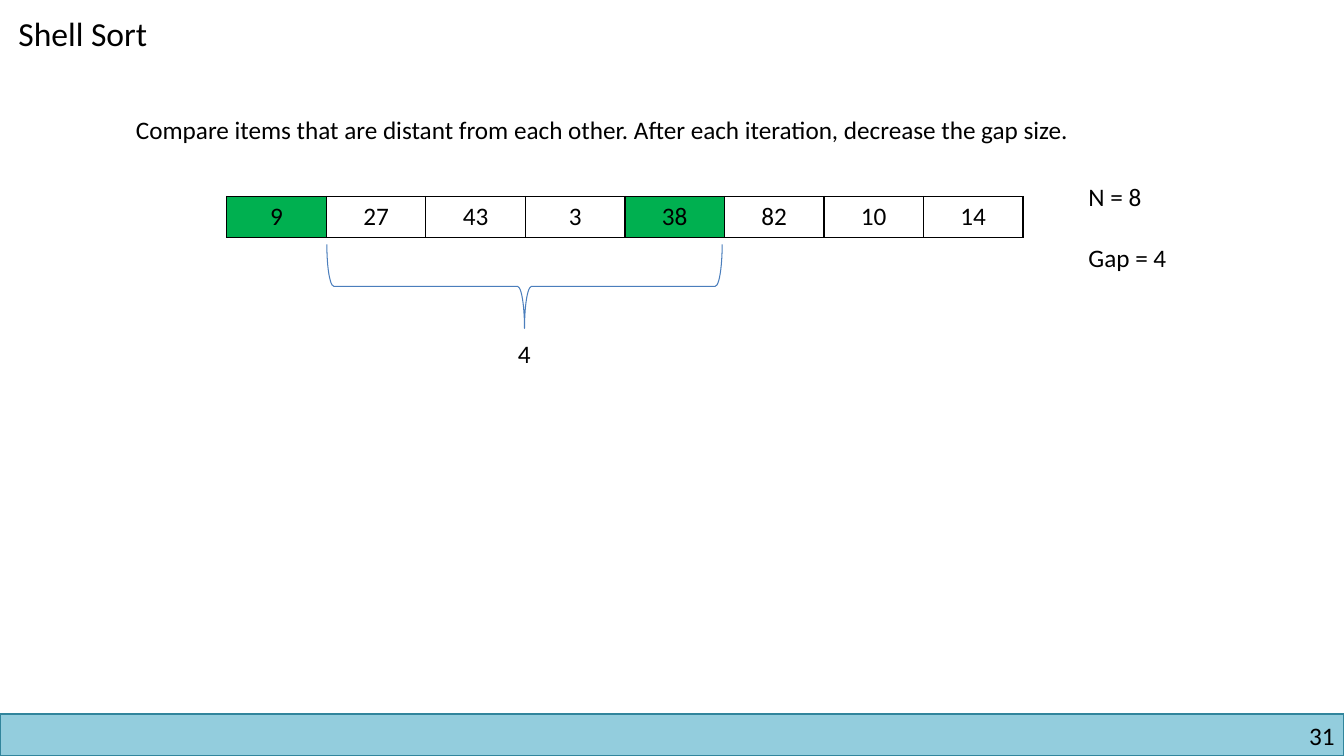
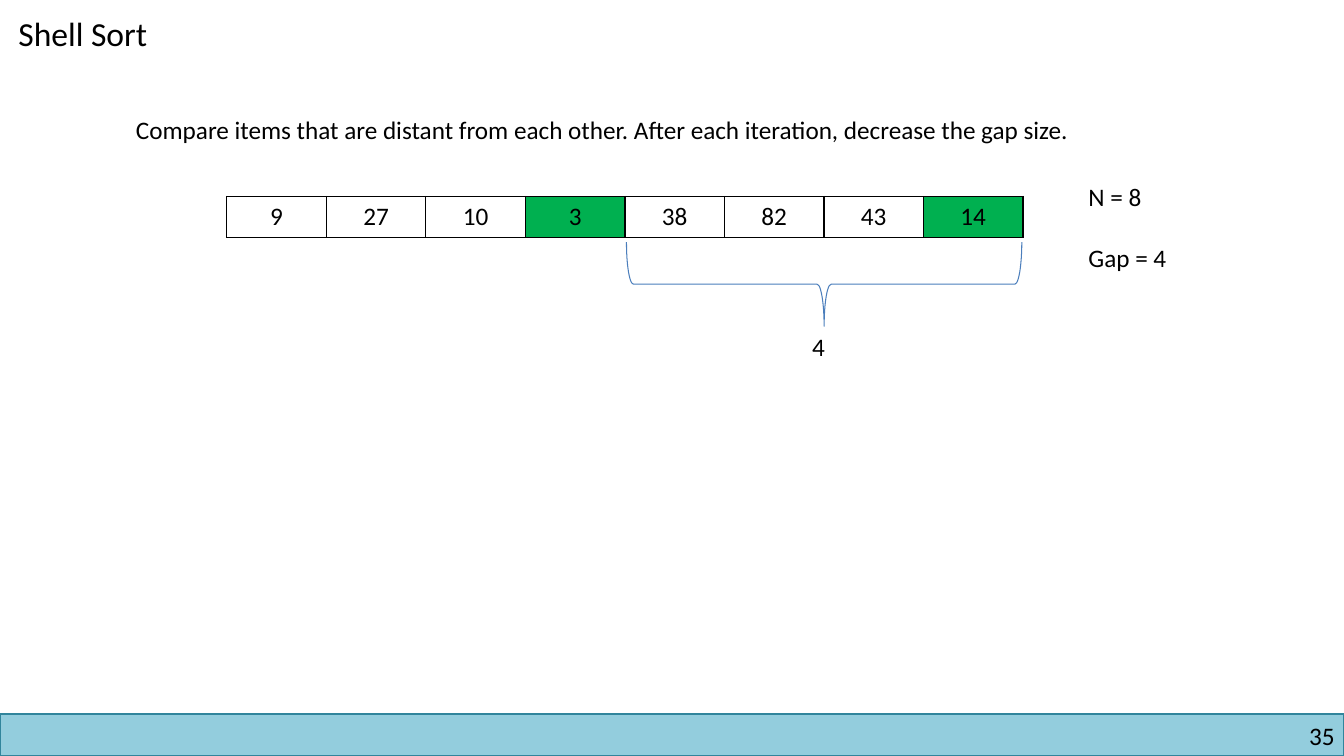
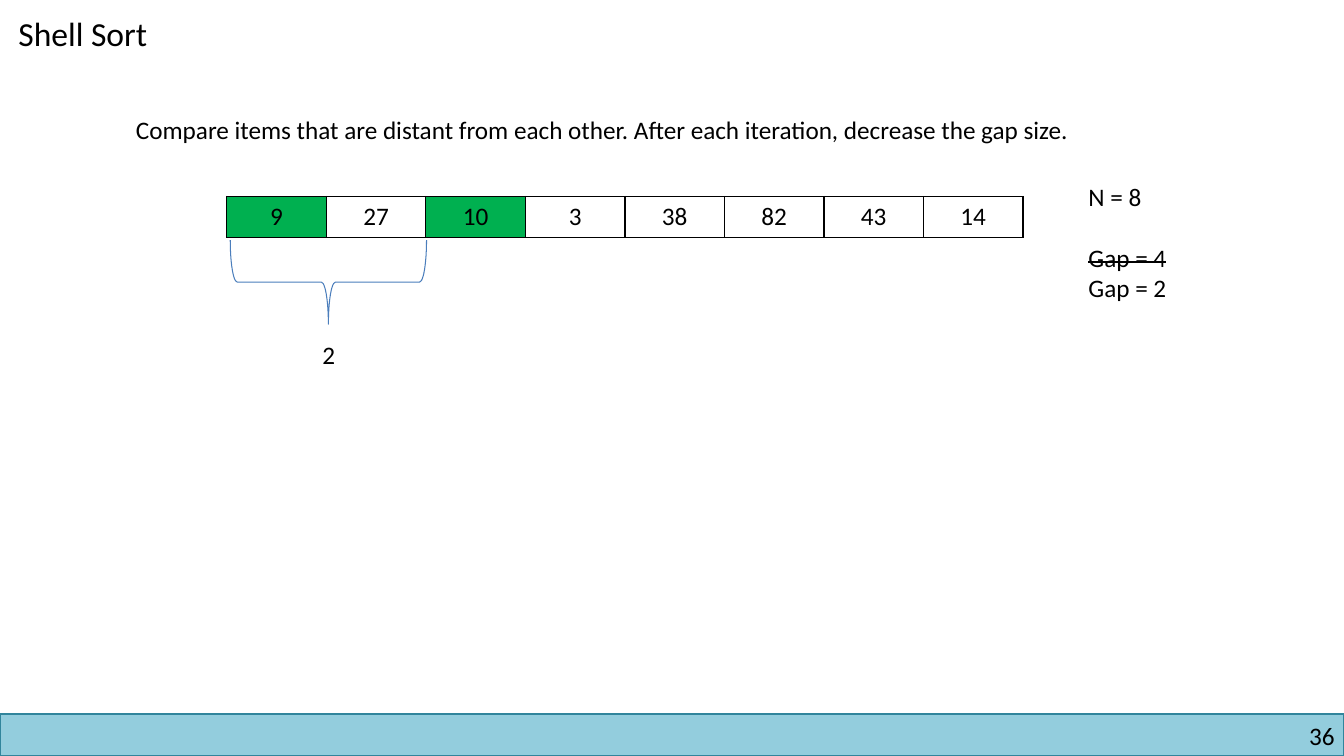
from lxml.etree import SubElement
from pptx import Presentation
from pptx.dml.color import RGBColor
from pptx.enum.shapes import MSO_SHAPE
from pptx.enum.text import PP_ALIGN
from pptx.oxml.ns import qn
from pptx.util import Pt

COLORS = {
    "text": "000000",
    "cell": "FFFFFF",
    "active": "00B050",
    "band": "93CDDD",
    "band_line": "31859C",
    "brace": "4B7EBC",
}
FONT = "Calibri"
WIDTH, HEIGHT = 960, 540
BAND_HEIGHT = 30
CELL_WIDTH, CELL_HEIGHT = 71.1, 29.2
BRACE_DEPTH = 60

STEPS = [
    dict(number="31", values=[9, 27, 43, 3, 38, 82, 10, 14], active=(0, 4),
         gaps=[4], brace=(233.5, 174.5), label=(362.9, 238.3)),
    dict(number="35", values=[9, 27, 10, 3, 38, 82, 43, 14], active=(3, 7),
         gaps=[4], brace=(447.5, 173), label=(573.1, 233.3)),
    dict(number="36", values=[9, 27, 10, 3, 38, 82, 43, 14], active=(0, 2),
         gaps=[4, 2], brace=(164.5, 171.5), label=(223.2, 239)),
]


def rgb(name):
    return RGBColor.from_string(COLORS[name])


class Deck:
    """Holds the shared style and the slide being built."""

    def __init__(self):
        self.prs = Presentation()
        self.prs.slide_width, self.prs.slide_height = Pt(WIDTH), Pt(HEIGHT)
        self.s = None

    def new_slide(self, title, number):
        self.s = self.prs.slides.add_slide(self.prs.slide_layouts[6])
        self.shape(MSO_SHAPE.RECTANGLE, 0, HEIGHT - BAND_HEIGHT, WIDTH,
                   BAND_HEIGHT, "band_line", 1, "band")
        tf = self.text(number, 732, 514.8, 221.3, 22, align=PP_ALIGN.RIGHT)
        tf.margin_left = tf.margin_right = tf.margin_top = tf.margin_bottom = 0
        self.text(title, 6, 6, 120, 36, size=24)

    def style(self, p, size=18, align=PP_ALIGN.LEFT):
        p.alignment = align
        for r in p.runs:
            r.font.size, r.font.name = Pt(size), FONT
            r.font.color.rgb = rgb("text")

    def text(self, text, left, top, width, height, size=18, align=PP_ALIGN.LEFT):
        sp = self.s.shapes.add_textbox(Pt(left), Pt(top), Pt(width), Pt(height))
        tf = sp.text_frame
        tf.word_wrap = True
        tf.text = text
        for p in tf.paragraphs:
            self.style(p, size, align)
        return tf

    def shape(self, kind, left, top, width, height, line, weight, fill=None):
        sp = self.s.shapes.add_shape(kind, Pt(left), Pt(top), Pt(width), Pt(height))
        sp.shadow.inherit = False
        sp.line.color.rgb, sp.line.width = rgb(line), Pt(weight)
        if fill:
            sp.fill.solid()
            sp.fill.fore_color.rgb = rgb(fill)
        else:
            sp.fill.background()
        return sp

    def borders(self, cell):
        tcPr = cell._tc.get_or_add_tcPr()
        for side in ("a:lnL", "a:lnR", "a:lnT", "a:lnB"):
            ln = SubElement(tcPr, qn(side), w=str(Pt(1)))
            fill = SubElement(ln, qn("a:solidFill"))
            SubElement(fill, qn("a:srgbClr"), val=COLORS["text"])

    def array(self, values, active, left, top):
        count = len(values)
        table = self.s.shapes.add_table(1, count, Pt(left), Pt(top),
                                        Pt(count * CELL_WIDTH), Pt(CELL_HEIGHT)).table
        table.first_row = table.horz_banding = False
        for i, value in enumerate(values):
            table.columns[i].width = Pt(CELL_WIDTH)
            cell = table.cell(0, i)
            cell.text_frame.text = str(value)
            self.style(cell.text_frame.paragraphs[0], align=PP_ALIGN.CENTER)
            self.borders(cell)
            cell.fill.solid()
            cell.fill.fore_color.rgb = rgb("active" if i in active else "cell")

    def gap_notes(self, count, gaps, left, top):
        lines = [f"N = {count}"] + [f"Gap = {gap}" for gap in gaps]
        tf = self.text("\n".join(lines), left, top, 80, 72.7 + 22 * (len(gaps) - 1))
        tf.paragraphs[1].space_before = Pt(22)
        for p in tf.paragraphs[1:-1]:
            p.runs[0]._r.get_or_add_rPr().set("strike", "sngStrike")

    def brace(self, gap, left, top):
        length = gap * CELL_WIDTH - 2
        shift = (length - BRACE_DEPTH) / 2
        sp = self.shape(MSO_SHAPE.LEFT_BRACE, left + shift, top - shift,
                        BRACE_DEPTH, length, "brace", 0.75)
        sp.rotation = 270


def main():
    deck = Deck()
    for step in STEPS:
        gap = step["gaps"][-1]
        deck.new_slide("Shell Sort", step["number"])
        deck.text("Compare items that are distant from each other. "
                  "After each iteration, decrease the gap size.", 90, 78, 746, 29)
        deck.array(step["values"], step["active"], 162, 140.4)
        deck.gap_notes(len(step["values"]), step["gaps"], 770.4, 126)
        deck.brace(gap, *step["brace"])
        deck.text(str(gap), *step["label"], 24.5, 29)
    deck.prs.save("out.pptx")


if __name__ == "__main__":
    main()
